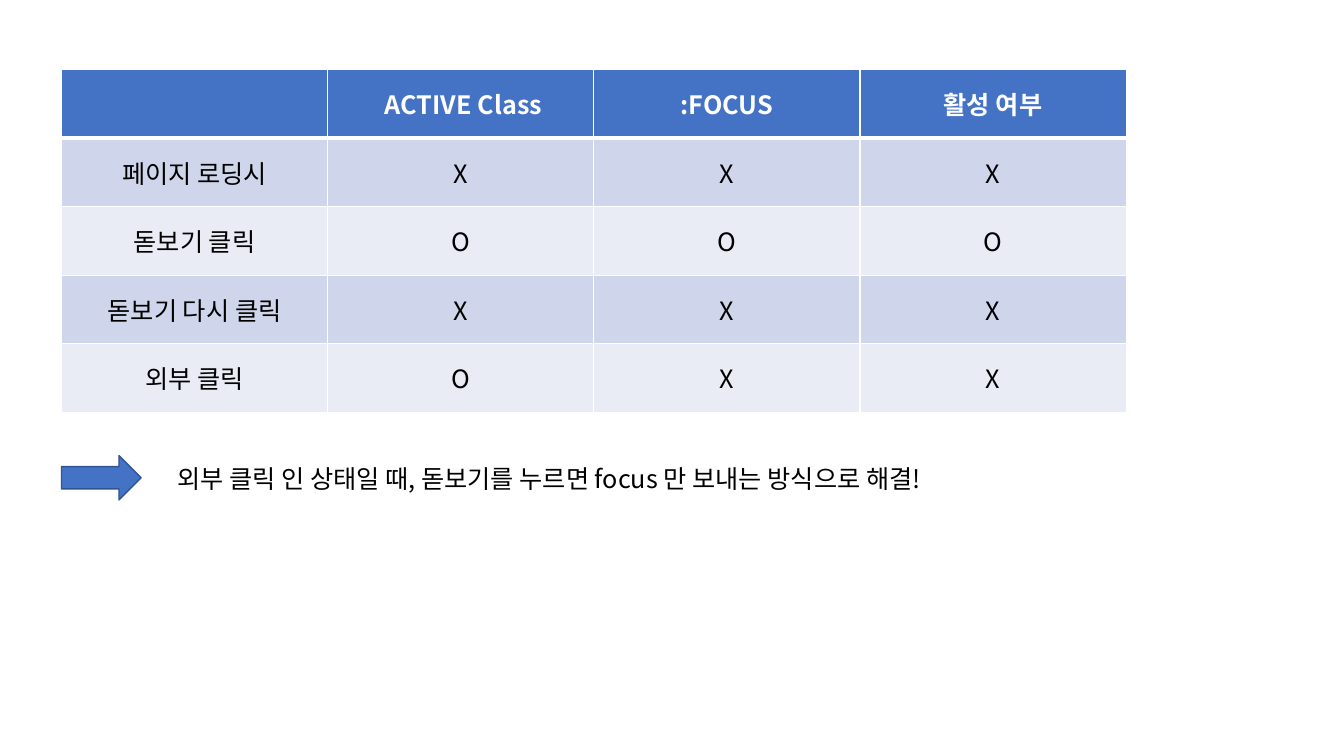
from lxml.etree import SubElement
from pptx import Presentation
from pptx.dml.color import RGBColor
from pptx.enum.shapes import MSO_SHAPE
from pptx.enum.text import MSO_ANCHOR, MSO_AUTO_SIZE, PP_ALIGN
from pptx.oxml.ns import qn
from pptx.util import Inches, Pt

HEADERS = ["", " ACTIVE Class", ":FOCUS", "활성 여부"]
STATES = [
    ("페이지 로딩시", "X", "X", "X"),
    ("돋보기 클릭", "O", "O", "O"),
    ("돋보기 다시 클릭", "X", "X", "X"),
    ("외부 클릭", "O", "X", "X"),
]
SOLUTION = "외부 클릭 인 상태일 때, 돋보기를 누르면 focus 만 보내는 방식으로 해결!"

FONT = "Noto Sans CJK KR"
COLORS = {
    "header": "4472C4",
    "odd": "CFD5EA",
    "even": "E9EBF5",
    "border": "FFFFFF",
    "header_text": "FFFFFF",
    "text": "000000",
    "arrow_line": "325491",
}
LEFT = 0.61
TABLE_TOP = 0.69
COLUMN_WIDTH = 2.64
ROW_HEIGHT = 0.68


def rgb(key):
    return RGBColor.from_string(COLORS[key])


def add_run(paragraph, text, color, bold=False):
    run = paragraph.add_run()
    run.text = text
    run.font.size = Pt(18)
    run.font.bold = bold
    run.font.name = FONT
    run.font.color.rgb = rgb(color)
    SubElement(run.font._element, qn("a:ea"), typeface=FONT)


def add_borders(cell, bottom_width, top_width):
    properties = cell._tc.get_or_add_tcPr()
    widths = {"a:lnL": 1, "a:lnR": 1, "a:lnT": top_width, "a:lnB": bottom_width}
    for position, (side, width) in enumerate(widths.items()):
        line = SubElement(properties, qn(side), w=str(Pt(width)))
        fill = SubElement(line, qn("a:solidFill"))
        SubElement(fill, qn("a:srgbClr"), val=COLORS["border"])
        properties.insert(position, line)


def add_state_table(slide):
    rows = [HEADERS, *STATES]
    table = slide.shapes.add_table(
        len(rows), len(HEADERS), Inches(LEFT), Inches(TABLE_TOP),
        Inches(COLUMN_WIDTH * len(HEADERS)), Inches(ROW_HEIGHT * len(rows)),
    ).table
    for row_number, values in enumerate(rows):
        is_header = row_number == 0
        fill = "header" if is_header else "odd" if row_number % 2 else "even"
        for column_number, value in enumerate(values):
            cell = table.cell(row_number, column_number)
            cell.fill.solid()
            cell.fill.fore_color.rgb = rgb(fill)
            cell.vertical_anchor = MSO_ANCHOR.MIDDLE
            add_borders(cell, 3 if is_header else 1, 3 if row_number == 1 else 1)
            paragraph = cell.text_frame.paragraphs[0]
            paragraph.alignment = PP_ALIGN.CENTER
            if value:
                add_run(paragraph, value, "header_text" if is_header else "text", is_header)


def add_solution(slide):
    arrow = slide.shapes.add_shape(
        MSO_SHAPE.RIGHT_ARROW, Inches(LEFT), Inches(4.52), Inches(0.79), Inches(0.44)
    )
    arrow.shadow.inherit = False
    arrow.fill.solid()
    arrow.fill.fore_color.rgb = rgb("header")
    arrow.line.color.rgb = rgb("arrow_line")
    arrow.line.width = Pt(1)

    frame = slide.shapes.add_textbox(
        Inches(1.66), Inches(4.55), Inches(8.41), Inches(0.4)
    ).text_frame
    frame.word_wrap = False
    frame.auto_size = MSO_AUTO_SIZE.SHAPE_TO_FIT_TEXT
    add_run(frame.paragraphs[0], SOLUTION, "text")


def main():
    presentation = Presentation()
    presentation.slide_width = Inches(13.33)
    presentation.slide_height = Inches(7.5)
    slide = presentation.slides.add_slide(presentation.slide_layouts[6])
    add_state_table(slide)
    add_solution(slide)
    presentation.save("out.pptx")


if __name__ == "__main__":
    main()
